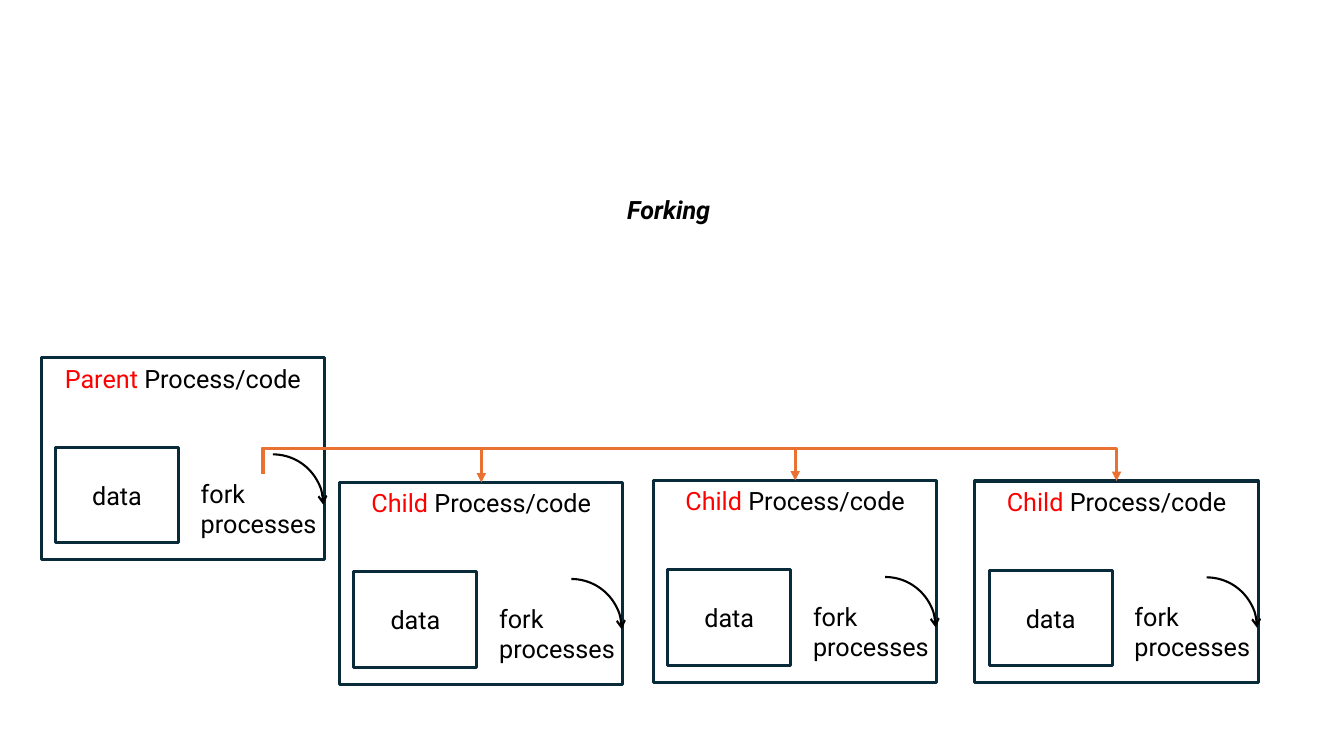
from dataclasses import dataclass

from pptx import Presentation
from pptx.dml.color import RGBColor
from pptx.enum.shapes import MSO_CONNECTOR, MSO_SHAPE
from pptx.enum.text import MSO_ANCHOR, MSO_AUTO_SIZE, PP_ALIGN
from pptx.oxml.ns import qn
from pptx.shapes.base import BaseShape
from pptx.slide import Slide
from pptx.oxml.xmlchemy import OxmlElement
from pptx.util import Cm, Pt

NAVY, ORANGE, RED, BLACK = "092A39", "E97132", "FF0000", "000000"
FONT = {"name": "Roboto", "size": Pt(18)}
BOX_WIDTH, BOX_HEIGHT = 7.14, 5.08
FORK_LEFT, FORK_TOP, BEND_TOP = 6.63, 11.94, 11.3


@dataclass
class Process:
    role: str
    left: float
    top: float


PARENT = Process("Parent", 1.04, 9.02)
CHILDREN = [
    Process("Child", 8.56, 12.16),
    Process("Child", 16.47, 12.11),
    Process("Child", 24.57, 12.12),
]


def paint(color, value: str) -> None:
    color.rgb = RGBColor.from_string(value)


def style(target, values: dict) -> None:
    for name, value in values.items():
        setattr(target, name, value)


def stroke(shape: BaseShape, color: str, width: float, tip: str = "") -> None:
    paint(shape.line.color, color)
    shape.line.width = Pt(width)
    if tip:
        end = OxmlElement("a:tailEnd")
        end.set("type", tip)
        shape._element.spPr.find(qn("a:ln")).append(end)


def write(shape: BaseShape, parts: list[tuple[str, str]], align: PP_ALIGN,
          anchor: MSO_ANCHOR, wrap: bool = True, **extra: bool) -> None:
    frame = shape.text_frame
    style(frame, {"word_wrap": wrap, "vertical_anchor": anchor,
                  "auto_size": MSO_AUTO_SIZE.NONE})
    line = frame.paragraphs[0]
    line.alignment = align
    for text, color in parts:
        run = line.add_run()
        run.text = text
        style(run.font, FONT | extra)
        paint(run.font.color, color)


def outline(slide: Slide, kind: MSO_SHAPE, left: float, top: float,
            width: float, height: float) -> BaseShape:
    shape = slide.shapes.add_shape(kind, Cm(left), Cm(top), Cm(width), Cm(height))
    shape.shadow.inherit = False
    shape.fill.background()
    return shape


def draw_process(slide: Slide, item: Process) -> None:
    left, top = item.left, item.top

    # Frame with its heading
    frame = outline(slide, MSO_SHAPE.RECTANGLE, left, top, BOX_WIDTH, BOX_HEIGHT)
    stroke(frame, NAVY, 2.25)
    write(frame, [(item.role, RED), (" Process/code", BLACK)],
          PP_ALIGN.CENTER, MSO_ANCHOR.TOP)

    # Data box
    data = outline(slide, MSO_SHAPE.RECTANGLE, left + 0.36, top + 2.25, 3.1, 2.41)
    stroke(data, NAVY, 2.25)
    write(data, [("data", BLACK)], PP_ALIGN.CENTER, MSO_ANCHOR.MIDDLE)

    # Curved arrow and its label
    arc = outline(slide, MSO_SHAPE.ARC, left + 4.57, top + 2.43, 2.54, 2.54)
    stroke(arc, BLACK, 1.5, "arrow")
    label = slide.shapes.add_textbox(Cm(left + 3.77), Cm(top + 2.91), Cm(3.66), Cm(1.8))
    write(label, [("fork processes", BLACK)], PP_ALIGN.LEFT, MSO_ANCHOR.TOP)


def draw_fork(slide: Slide, child: Process) -> None:
    span = child.left + BOX_WIDTH / 2 - FORK_LEFT
    drop = child.top - FORK_TOP
    mid_x, mid_y = FORK_LEFT + span / 2, FORK_TOP + drop / 2

    # An elbow turned a quarter to the left, so it leaves upward
    link = slide.shapes.add_connector(
        MSO_CONNECTOR.ELBOW, Cm(mid_x + drop / 2), Cm(mid_y - span / 2),
        Cm(mid_x - drop / 2), Cm(mid_y + span / 2))
    props = link._element.spPr
    props.find(qn("a:xfrm")).set("rot", "16200000")
    guide = OxmlElement("a:gd")
    bend = round((BEND_TOP - FORK_TOP) / drop * 100000)
    style_values = {"name": "adj1", "fmla": f"val {bend}"}
    for name, value in style_values.items():
        guide.set(name, value)
    props.find(qn("a:prstGeom")).get_or_add_avLst().append(guide)
    stroke(link, ORANGE, 2.25, "triangle")
    props.append(OxmlElement("a:effectLst"))


def main() -> None:
    deck = Presentation()
    style(deck, {"slide_width": Cm(33.87), "slide_height": Cm(19.05)})
    slide = deck.slides.add_slide(deck.slide_layouts[5])

    # Title
    title = slide.shapes.title
    style(title, {"left": Cm(15.52), "top": Cm(4.78),
                  "width": Cm(2.82), "height": Cm(1.03)})
    write(title, [("Forking ", BLACK)], PP_ALIGN.CENTER, MSO_ANCHOR.TOP,
          wrap=False, bold=True, italic=True)

    # Processes, then the forks that join them
    for item in [PARENT, *CHILDREN]:
        draw_process(slide, item)
    for child in CHILDREN:
        draw_fork(slide, child)

    deck.save("out.pptx")


if __name__ == "__main__":
    main()
